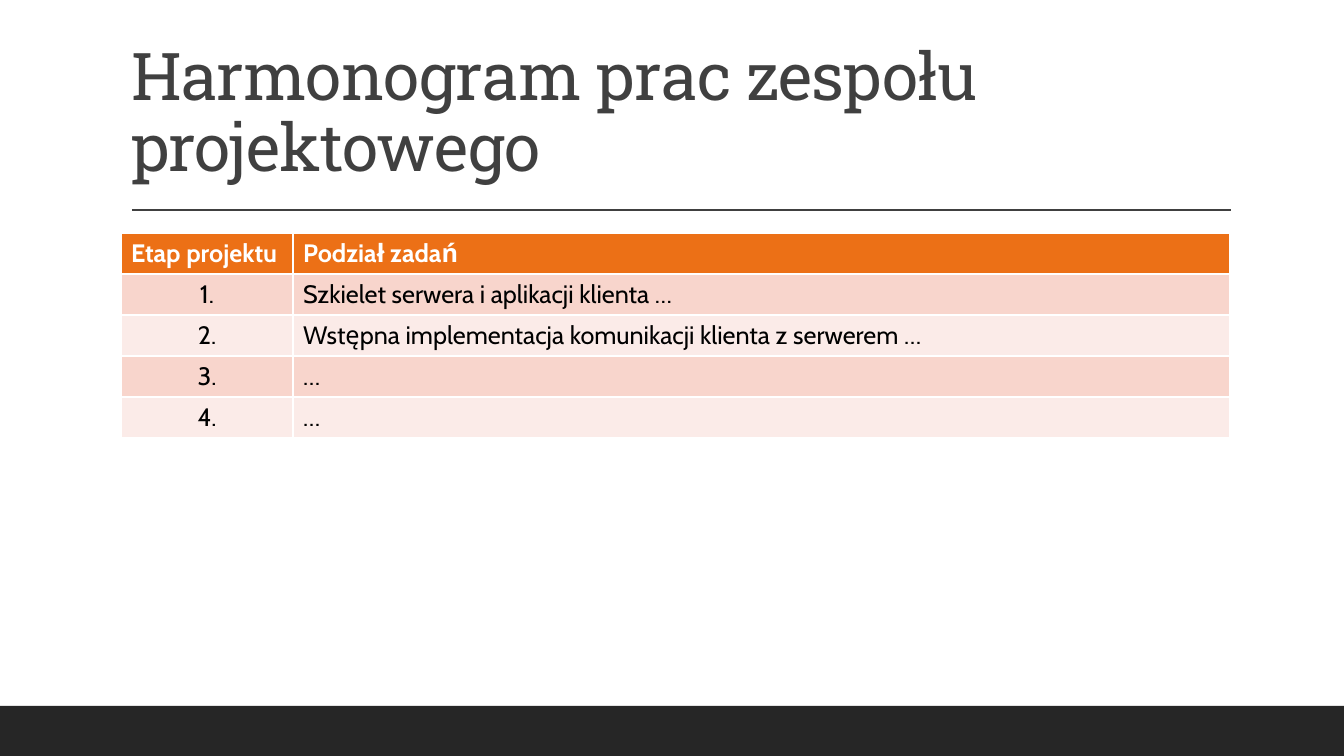
import pptx
import pptx.dml.color
import pptx.enum.shapes
import pptx.enum.text
import pptx.util
from dataclasses import dataclass
from lxml import etree


@dataclass(frozen=True)
class Theme:
    title_font: str = "Roboto Slab"
    body_font: str = "Cabin"
    title_size: int = 47
    body_size: int = 18
    title: str = "404040"
    footer: str = "262626"
    header: str = "EC7016"
    header_text: str = "FFFFFF"
    body_text: str = "000000"
    bands: tuple = ("F8D5CC", "FBEBE8")


THEME = Theme()
SLIDE_W, SLIDE_H = 1344, 756
LEFT, CONTENT_W = 121, 1109
FOOTER_H = 50
ROW_H = 41
COL_WIDTHS = (172, 937)
ROWS = [
    ("Etap projektu", "Podział zadań"),
    ("1.", "Szkielet serwera i aplikacji klienta …"),
    ("2.", "Wstępna implementacja komunikacji klienta z serwerem …"),
    ("3.", "…"),
    ("4.", "…"),
]


def px(n):
    """Turn pixels into EMU at 100.8 px to the inch."""
    return pptx.util.Emu(round(n * 914400 / 100.8))


def style(p, font, size, color, bold=False):
    p.font.name = font
    p.font.size = pptx.util.Pt(size)
    p.font.bold = bold
    p.font.color.rgb = pptx.dml.color.RGBColor.from_string(color)


prs = pptx.Presentation()
prs.slide_width, prs.slide_height = px(SLIDE_W), px(SLIDE_H)
s = prs.slides.add_slide(prs.slide_layouts[5])

# Footer band
footer = s.shapes.add_shape(pptx.enum.shapes.MSO_SHAPE.RECTANGLE,
                            0, px(SLIDE_H - FOOTER_H), px(SLIDE_W), px(FOOTER_H))
footer.shadow.inherit = False
footer.fill.solid()
footer.fill.fore_color.rgb = pptx.dml.color.RGBColor.from_string(THEME.footer)
footer.line.fill.background()

# Rule under the title
rule = s.shapes.add_connector(pptx.enum.shapes.MSO_CONNECTOR.STRAIGHT,
                              px(132), px(210), px(1231), px(210))
rule.line.color.rgb = pptx.dml.color.RGBColor.from_string(THEME.title)
rule.line.width = pptx.util.Pt(1)
etree.SubElement(rule.element.spPr, pptx.oxml.ns.qn("a:effectLst"))

# Title
title = s.shapes.title
title.left, title.top, title.width, title.height = px(LEFT), px(31), px(CONTENT_W), px(160)
tf = title.text_frame
tf.word_wrap = True
tf.auto_size = pptx.enum.text.MSO_AUTO_SIZE.NONE
tf.vertical_anchor = pptx.enum.text.MSO_ANCHOR.BOTTOM
p = tf.paragraphs[0]
p.alignment = pptx.enum.text.PP_ALIGN.LEFT
p.line_spacing = 0.9
r = p.add_run()
r.text = "Harmonogram prac zespołu projektowego"
style(p, THEME.title_font, THEME.title_size, THEME.title)
r.font.bold = False
r.font.element.set("spc", "-50") if hasattr(r.font, "element") else r._r.get_or_add_rPr().set("spc", "-50")

# Schedule table; its default style draws the white cell borders
table = s.shapes.add_table(len(ROWS), len(COL_WIDTHS), px(LEFT), px(233),
                           px(CONTENT_W), px(ROW_H * len(ROWS))).table
for column, width in zip(table.columns, COL_WIDTHS):
    column.width = px(width)
for i, row in enumerate(ROWS):
    is_header = i == 0
    fill = THEME.header if is_header else THEME.bands[(i - 1) % 2]
    color = THEME.header_text if is_header else THEME.body_text
    for j, text in enumerate(row):
        cell = table.cell(i, j)
        cell.fill.solid()
        cell.fill.fore_color.rgb = pptx.dml.color.RGBColor.from_string(fill)
        cell.text = text
        p = cell.text_frame.paragraphs[0]
        style(p, THEME.body_font, THEME.body_size, color, is_header)
        if j == 0 and not is_header:
            p.alignment = pptx.enum.text.PP_ALIGN.CENTER

prs.save("out.pptx")
